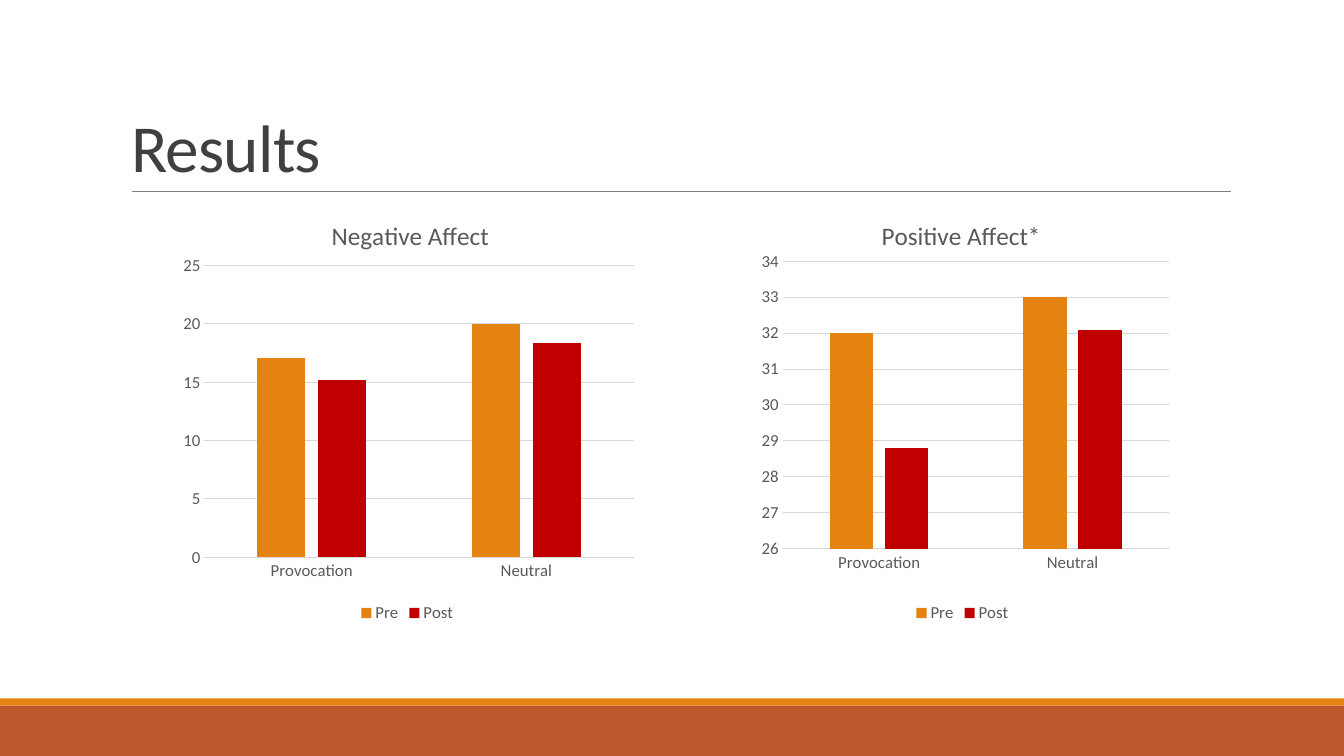
from pptx import Presentation
from pptx.chart.data import CategoryChartData as ChartData
from pptx.dml.color import RGBColor
from pptx.enum.chart import XL_CHART_TYPE as Kind, XL_LEGEND_POSITION as Place
from pptx.enum.chart import XL_TICK_MARK as Tick
from pptx.enum.shapes import MSO_CONNECTOR as Link, MSO_SHAPE as Shape
from pptx.enum.text import MSO_ANCHOR as Anchor, MSO_AUTO_SIZE as Fit
from pptx.enum.text import PP_ALIGN as Align
from pptx.oxml import parse_xml
from pptx.oxml.ns import nsdecls, qn
from pptx.util import Cm, Pt

WIDE, HIGH = 33.87, 19.05


def color(code):
    return RGBColor.from_string(code)


def layout(box, inner=False):
    """Build a manual chart layout from fractions of the chart area."""
    tags = ['<c:layoutTarget val="inner"/>'] if inner else []
    tags += [f'<c:{key}Mode val="edge"/>' for key in "xy"]
    tags += [f'<c:{key} val="{val}"/>' for key, val in zip("xywh", box)]
    return parse_xml(f'<c:layout {nsdecls("c")}><c:manualLayout>'
                     f'{"".join(tags)}</c:manualLayout></c:layout>')


class Deck:
    font = "Calibri"
    dark, text, rule, grid = "404040", "595959", "808080", "D9D9D9"
    amber, rust, red = "E48312", "BD582C", "C00000"

    def __init__(self):
        self.file = Presentation()
        self.file.slide_width, self.file.slide_height = Cm(WIDE), Cm(HIGH)
        self.slide = self.file.slides.add_slide(self.file.slide_layouts[5])

    def style(self, font, size, code):
        font.name, font.size, font.bold = self.font, Pt(size), False
        font.color.rgb = color(code)

    def band(self, top, high, code):
        bar = self.slide.shapes.add_shape(
            Shape.RECTANGLE, 0, Cm(top), Cm(WIDE), Cm(high))
        bar.shadow.inherit = False
        bar.fill.solid()
        bar.fill.fore_color.rgb = color(code)
        bar.line.fill.background()

    def line(self, left, right, top):
        line = self.slide.shapes.add_connector(
            Link.STRAIGHT, Cm(left), Cm(top), Cm(right), Cm(top))
        line.line.color.rgb = color(self.rule)
        line.line.width = Pt(0.5)
        line.element.spPr.append(parse_xml(f'<a:effectLst {nsdecls("a")}/>'))

    def title(self, text, left, top, wide, high):
        box = self.slide.shapes.title
        box.left, box.top, box.width, box.height = map(
            Cm, (left, top, wide, high))
        frame = box.text_frame
        frame.text = text
        frame.word_wrap, frame.auto_size = True, Fit.NONE
        frame.vertical_anchor = Anchor.BOTTOM
        para = frame.paragraphs[0]
        para.line_spacing, para.alignment = 0.85, Align.LEFT
        run = para.runs[0]
        self.style(run.font, 48, self.dark)
        run._r.get_or_add_rPr().set("spc", "-50")

    def chart(self, name, left, wide, pre, post, span, head, plot):
        data = ChartData()
        data.categories = ["Provocation", "Neutral"]
        data.add_series("Pre", pre)
        data.add_series("Post", post)
        chart = self.slide.shapes.add_chart(
            Kind.COLUMN_CLUSTERED, Cm(left), Cm(4.83), Cm(wide), Cm(10.97),
            data).chart
        self.style(chart.font, 12, self.text)

        # Heading and legend
        frame = chart.chart_title.text_frame
        frame.text = name
        self.style(frame.paragraphs[0].runs[0].font, 18, self.text)
        chart.has_legend = True
        chart.legend.position = Place.BOTTOM
        chart.legend.include_in_layout = False
        self.style(chart.legend.font, 12, self.text)

        # Columns
        bars = chart.plots[0]
        bars.gap_width, bars.overlap = 219, -27
        bars.vary_by_categories = False
        for item, code in zip(bars.series, (self.amber, self.red)):
            item.format.fill.solid()
            item.format.fill.fore_color.rgb = color(code)

        # Axes
        cats, vals = chart.category_axis, chart.value_axis
        for axis in (cats, vals):
            axis.major_tick_mark = axis.minor_tick_mark = Tick.NONE
            self.style(axis.tick_labels.font, 12, self.text)
        vals.minimum_scale, vals.maximum_scale, vals.major_unit = span
        vals.has_major_gridlines = True
        vals.format.line.fill.background()
        for line in (cats.format.line, vals.major_gridlines.format.line):
            line.color.rgb = color(self.grid)
            line.width = Pt(0.75)

        # Placement inside the chart
        root = chart.chart_title.element.getparent()
        area, top = root.find(qn("c:plotArea")), root.find(qn("c:title"))
        for part in (area, top):
            for old in part.findall(qn("c:layout")):
                part.remove(old)
        area.insert(0, layout(plot, inner=True))
        top.find(qn("c:tx")).addnext(layout(head))


def main():
    deck = Deck()

    # Footer bands and title
    deck.band(17.78, 1.27, deck.rust)
    deck.band(17.6, 0.18, deck.amber)
    deck.line(3.33, 31.01, 4.83)
    deck.title("Results", 3.05, 0.79, 27.94, 4.04)

    # Charts
    deck.chart("Positive Affect*", 18.59, 11.33, (32, 33), (28.8, 32.1),
               (26, 34, 1), (0.31, 0.05), (0.1, 0.16, 0.86, 0.66))
    deck.chart("Negative Affect", 4.32, 11.89, (17.1, 20), (15.2, 18.4),
               (0, 25, 5), (0.33, 0.05), (0.07, 0.17, 0.91, 0.67))
    deck.file.save("out.pptx")


if __name__ == "__main__":
    main()
